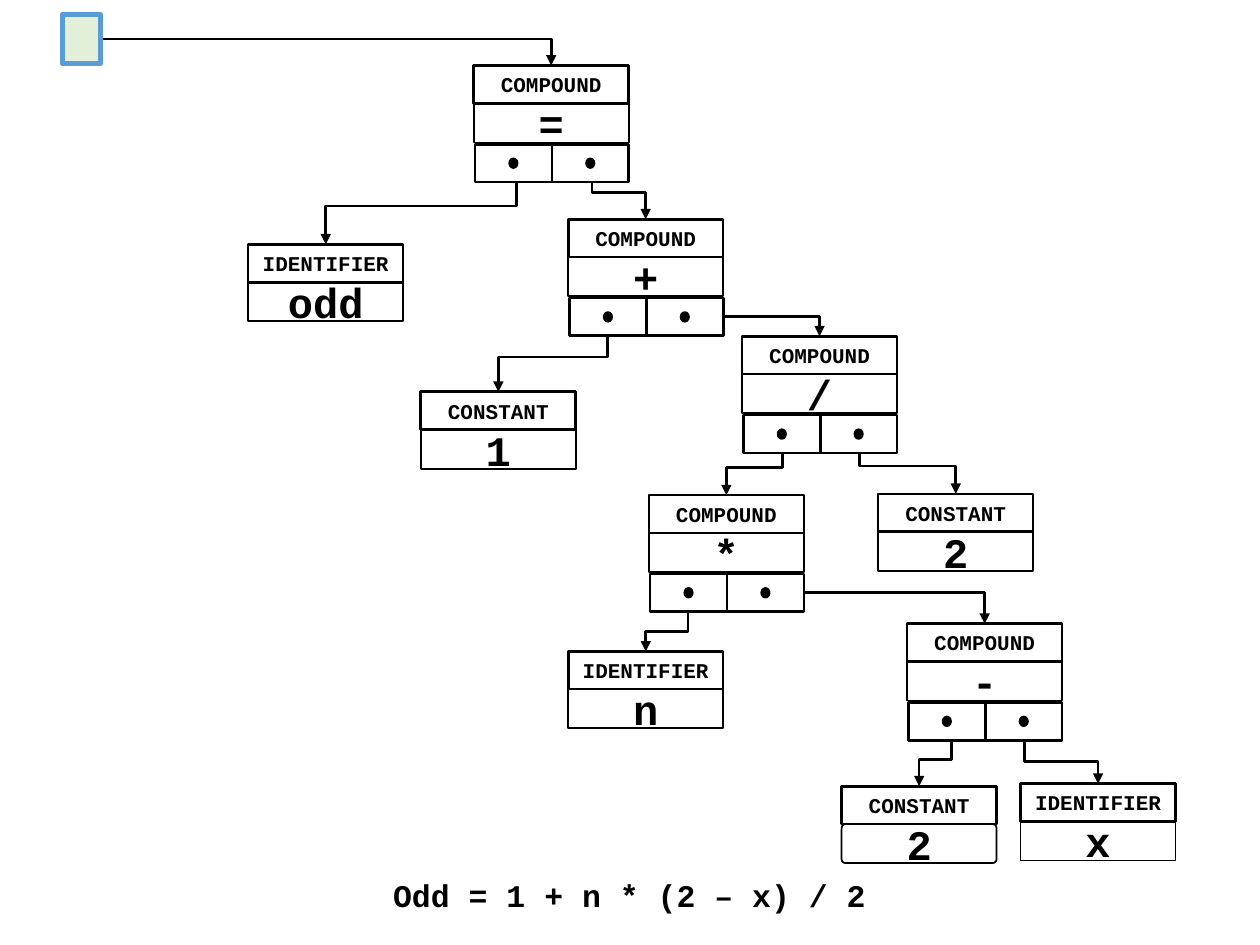
from dataclasses import dataclass

from lxml.etree import SubElement
from pptx import Presentation
from pptx.dml.color import RGBColor
from pptx.enum.shapes import MSO_CONNECTOR, MSO_SHAPE
from pptx.enum.text import MSO_ANCHOR, PP_ALIGN
from pptx.oxml.ns import qn
from pptx.util import Inches, Pt

COLUMNS, ROWS = 100, 75
SLIDE_WIDTH, SLIDE_HEIGHT = Inches(10), Inches(7.5)
NODE_WIDTH, ROW_HEIGHT = 12.3, 3


@dataclass(frozen=True)
class Theme:
    font: str = "Courier New"
    ink: RGBColor = RGBColor(0, 0, 0)
    paper: RGBColor = RGBColor(255, 255, 255)
    root_fill: RGBColor = RGBColor(0xE2, 0xF0, 0xD9)
    root_line: RGBColor = RGBColor(0x5B, 0x9B, 0xD5)
    label_size: int = 12
    value_size: int = 24
    caption_size: int = 18
    dot_line: float = 0.75
    value_line: float = 1
    frame_line: float = 1.5
    root_line_width: float = 3


@dataclass(frozen=True)
class Box:
    left: float
    top: float
    width: float
    height: float

    def inner(self, left, top, width, height):
        return Box(self.left + left, self.top + top, width, height)

    def lengths(self):
        return (across(self.left), down(self.top),
                across(self.width), down(self.height))


@dataclass(frozen=True)
class Node:
    label: str
    value: str
    left: float
    top: float
    radius: float = 0


THEME = Theme()

NODES = {
    "odd": Node("IDENTIFIER", "odd", 19.7, 19.4),
    "one": Node("CONSTANT", "1", 33.4, 31.1),
    "n": Node("IDENTIFIER", "n", 45.1, 51.7),
    "inner two": Node("CONSTANT", "2", 66.8, 62.4, 0.1),
    "x": Node("IDENTIFIER", "x", 81, 62.2),
    "minus": Node("COMPOUND", "-", 72, 49.5),
    "times": Node("COMPOUND", "*", 51.5, 39.3),
    "outer two": Node("CONSTANT", "2", 69.7, 39.2),
    "divide": Node("COMPOUND", "/", 58.9, 26.7),
    "plus": Node("COMPOUND", "+", 45.1, 17.4),
    "equals": Node("COMPOUND", "=", 37.6, 5.2),
}

STEPPED_LINKS = [
    (41, 13.3, "odd"), (47, 13.2, "plus"), (48.2, 25.6, "one"),
    (62.1, 34.9, "times"), (68.2, 34.8, "outer two"), (54.6, 48.5, "n"),
    (75.5, 58.2, "inner two"), (81.3, 58.7, "x"),
]
CORNER_LINKS = [
    (7.9, 3.1, "equals"), (54.6, 25.1, "divide"), (61.9, 47, "minus"),
]


def across(columns):
    return round(SLIDE_WIDTH * columns / COLUMNS)


def down(rows):
    return round(SLIDE_HEIGHT * rows / ROWS)


def paint(shape, fill, line, width):
    shape.shadow.inherit = False
    shape.fill.solid()
    shape.fill.fore_color.rgb = fill
    shape.line.color.rgb = line
    shape.line.width = Pt(width)


def write(text_frame, text, size):
    text_frame.word_wrap = True
    paragraph = text_frame.paragraphs[0]
    paragraph.alignment = PP_ALIGN.CENTER
    run = paragraph.add_run()
    run.text = text
    run.font.name = THEME.font
    run.font.size = Pt(size)
    run.font.bold = True
    run.font.color.rgb = THEME.ink


def add_cell(shapes, box, line_width, text="", size=0, radius=0):
    cell = shapes.add_shape(MSO_SHAPE.ROUNDED_RECTANGLE, *box.lengths())
    cell.adjustments[0] = radius
    paint(cell, THEME.paper, THEME.ink, line_width)
    if text:
        cell.text_frame.vertical_anchor = MSO_ANCHOR.MIDDLE
        write(cell.text_frame, text, size)


def add_pointers(shapes, box):
    half = box.width / 2
    for column in range(2):
        cell = box.inner(column * half, 0, half, box.height)
        add_cell(shapes, cell, THEME.frame_line)
        dot = shapes.add_shape(MSO_SHAPE.OVAL, *cell.inner(2.7, 1.1, 0.7, 0.8).lengths())
        paint(dot, THEME.ink, THEME.ink, THEME.dot_line)


def add_node(slide, node, box):
    shapes = slide.shapes.add_group_shape().shapes
    add_cell(shapes, box.inner(0, ROW_HEIGHT, box.width, ROW_HEIGHT + 0.1),
             THEME.value_line, node.value, THEME.value_size, node.radius)
    add_cell(shapes, box.inner(0, 0, box.width, ROW_HEIGHT),
             THEME.frame_line, node.label, THEME.label_size)
    if node.label == "COMPOUND":
        add_pointers(shapes, box.inner(0.1, 2 * ROW_HEIGHT + 0.25,
                                       box.width - 0.1, ROW_HEIGHT))


def add_arrow(slide, box):
    left, top, width, height = box.lengths()
    connector = slide.shapes.add_connector(
        MSO_CONNECTOR.ELBOW, left, top, left + width, top + height)
    connector.line.color.rgb = THEME.ink
    connector.line.width = Pt(THEME.frame_line)
    properties = connector._element.spPr
    SubElement(properties.find(qn("a:ln")), qn("a:tailEnd"), type="triangle")
    SubElement(properties, qn("a:effectLst"))
    return properties


def add_corner_link(slide, left, top, node):
    width = node.left + NODE_WIDTH / 2 - left
    properties = add_arrow(slide, Box(left, top, width, node.top - top))
    properties.find(qn("a:prstGeom")).set("prst", "bentConnector2")


def add_stepped_link(slide, left, top, node):
    shift = node.left + NODE_WIDTH / 2 - left
    drop = node.top - top
    turned = Box(left + (shift - drop) / 2, top + (drop - abs(shift)) / 2,
                 drop, abs(shift))
    transform = add_arrow(slide, turned).find(qn("a:xfrm"))
    quarter_turns = 3 if shift > 0 else 1
    transform.set("rot", str(quarter_turns * 90 * 60000))
    if shift > 0:
        transform.set("flipH", "1")


def add_root(slide, box):
    root = slide.shapes.add_shape(MSO_SHAPE.RECTANGLE, *box.lengths())
    root.rotation = 90
    paint(root, THEME.root_fill, THEME.root_line, THEME.root_line_width)


def add_caption(slide, box):
    caption = slide.shapes.add_textbox(*box.lengths())
    write(caption.text_frame, "Odd = 1 + n * (2 – x) / 2", THEME.caption_size)


def add_tree_slide(presentation):
    slide = presentation.slides.add_slide(presentation.slide_layouts[6])
    add_caption(slide, Box(27, 69, 45.9, 4))
    for left, top, name in STEPPED_LINKS:
        add_stepped_link(slide, left, top, NODES[name])
    for left, top, name in CORNER_LINKS:
        add_corner_link(slide, left, top, NODES[name])
    for node in NODES.values():
        add_node(slide, node, Box(node.left, node.top, NODE_WIDTH, 3 * ROW_HEIGHT))
    add_root(slide, Box(4.5, 1.6, 3.9, 3))


def main():
    presentation = Presentation()
    presentation.slide_width = SLIDE_WIDTH
    presentation.slide_height = SLIDE_HEIGHT
    add_tree_slide(presentation)
    presentation.save("out.pptx")


if __name__ == "__main__":
    main()
